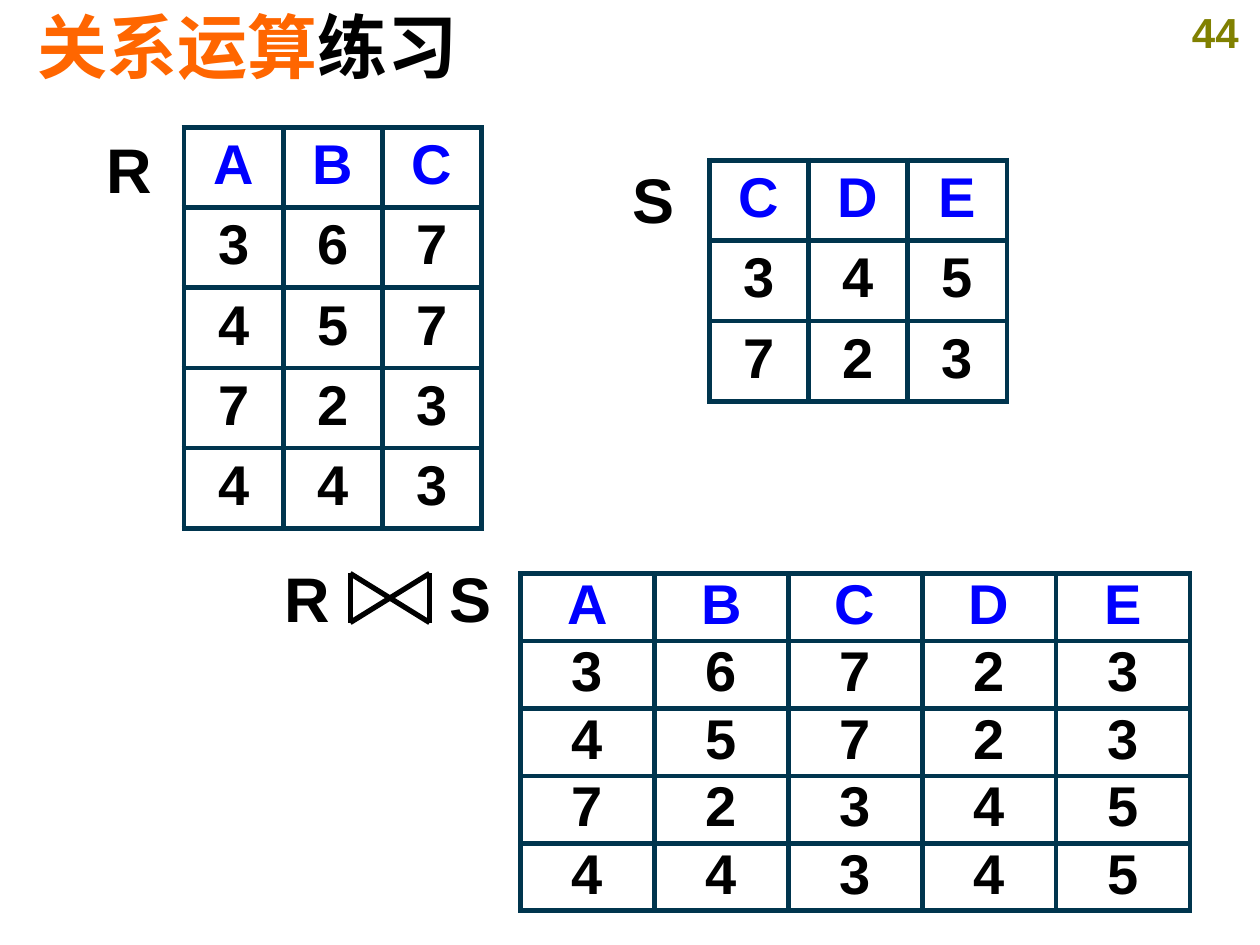
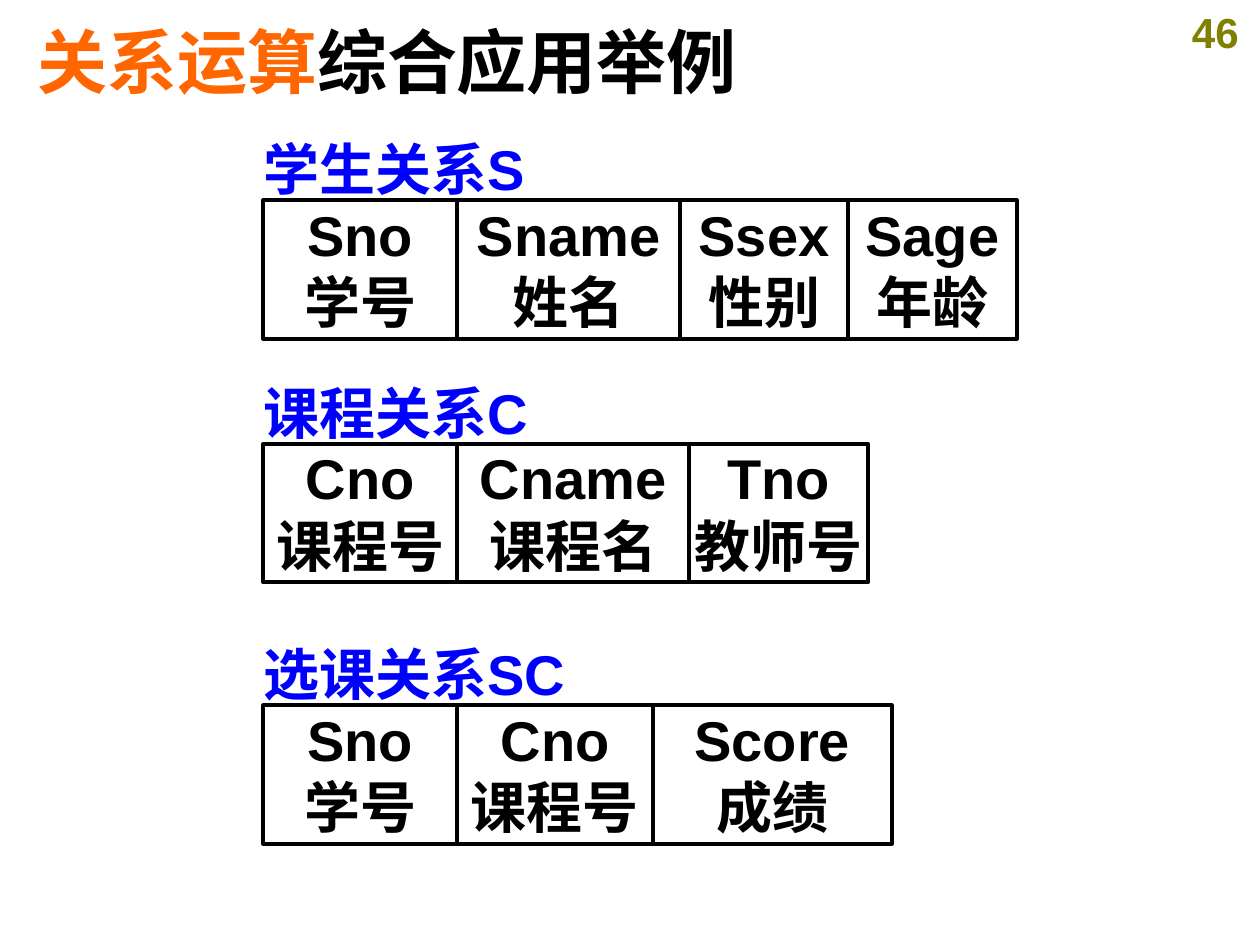
import pptx
import pptx.dml.color
import pptx.enum.shapes
import pptx.enum.text
import pptx.oxml
import pptx.oxml.ns
import pptx.util
from pptx.util import Cm, Pt

FONT = "Arial"
BLACK, BLUE, ORANGE = "000000", "0000FF", "FF6600"
OLIVE, GRID = "808000", "00354E"
NAMESPACE = pptx.oxml.ns.nsdecls("a")
ALIGN = pptx.enum.text.PP_ALIGN
ANCHOR = pptx.enum.text.MSO_ANCHOR


def color(value):
    return pptx.dml.color.RGBColor.from_string(value)


def style_font(font, size, value):
    font.name = FONT
    font.size = Pt(size)
    font.bold = True
    font.color.rgb = color(value)


def fill_text(frame, text, size, value, align=ALIGN.LEFT):
    frame.text = text
    for para in frame.paragraphs:
        para.alignment = align
        for span in para.runs:
            style_font(span.font, size, value)


def clear_margins(frame):
    frame.margin_left = frame.margin_right = 0
    frame.margin_top = frame.margin_bottom = 0


def add_label(page, text, left, top, width, height, size, value, align=ALIGN.LEFT):
    box = page.shapes.add_textbox(Cm(left), Cm(top), Cm(width), Cm(height))
    box.text_frame.word_wrap = True
    fill_text(box.text_frame, text, size, value, align)
    return box


def add_page(deck, number, subject, top, height):
    page = deck.slides.add_slide(deck.slide_layouts[5])
    title = page.shapes.title
    title.left, title.top = Cm(0.5), Cm(top)
    title.width, title.height = Cm(24.05), Cm(height)
    frame = title.text_frame
    frame.auto_size = pptx.enum.text.MSO_AUTO_SIZE.NONE
    frame.vertical_anchor = ANCHOR.MIDDLE
    para = frame.paragraphs[0]
    para.alignment = ALIGN.LEFT
    for text, value in (("关系运算", ORANGE), (subject, BLACK)):
        span = para.add_run()
        span.text = text
        style_font(span.font, 40, value)
    add_label(page, str(number), 23.6, 0, 1.8, 1.27, 24, OLIVE, ALIGN.CENTER)
    return page


def add_borders(cell):
    properties = cell._tc.get_or_add_tcPr()
    for side in ("lnL", "lnR", "lnT", "lnB"):
        properties.append(pptx.oxml.parse_xml(
            f'<a:{side} {NAMESPACE} w="{Pt(3)}"><a:solidFill>'
            f'<a:srgbClr val="{GRID}"/></a:solidFill></a:{side}>'))


def add_relation(page, rows, left, top, column_width, row_height, padding):
    count = len(rows[0])
    table = page.shapes.add_table(
        len(rows), count, Cm(left), Cm(top),
        Cm(column_width * count), Cm(row_height * len(rows))).table
    table.first_row = table.horz_banding = False
    for column in table.columns:
        column.width = Cm(column_width)
    for index, values in enumerate(rows):
        table.rows[index].height = Cm(row_height)
        for position, text in enumerate(values):
            cell = table.cell(index, position)
            cell.margin_top = cell.margin_bottom = Cm(padding)
            add_borders(cell)
            cell.fill.background()
            fill_text(cell.text_frame, text, 32, BLACK if index else BLUE, ALIGN.CENTER)


def add_line(page, start, end):
    line = page.shapes.add_connector(
        pptx.enum.shapes.MSO_CONNECTOR.STRAIGHT, *map(Cm, start + end))
    line.line.color.rgb = color(BLACK)
    line.line.width = Pt(3)
    line._element.spPr.append(pptx.oxml.parse_xml(f"<a:effectLst {NAMESPACE}/>"))


def add_join_label(page):
    box = add_label(page, "R\tS", 5.49, 11.15, 5, 1.78, 36, BLACK)
    properties = box.text_frame.paragraphs[0]._p.get_or_add_pPr()
    properties.append(pptx.oxml.parse_xml(
        f'<a:tabLst {NAMESPACE}><a:tab pos="{Cm(3.33)}" algn="l"/></a:tabLst>'))
    left, right, top, bottom = 7.06, 8.66, 11.56, 12.55
    add_line(page, (left, top), (left, bottom))
    add_line(page, (right, top), (right, bottom))
    add_line(page, (left, top), (right, bottom))
    add_line(page, (left, bottom), (right, top))


def add_schema(page, caption, top, fields):
    left = 5.31
    for name, meaning, width in fields:
        box = page.shapes.add_shape(
            pptx.enum.shapes.MSO_SHAPE.RECTANGLE, Cm(left), Cm(top), Cm(width), Cm(2.79))
        box.shadow.inherit = False
        box.fill.background()
        box.line.color.rgb = color(BLACK)
        box.line.width = Pt(2.25)
        clear_margins(box.text_frame)
        box.text_frame.vertical_anchor = ANCHOR.TOP
        fill_text(box.text_frame, f"{name}\n{meaning}", 32, BLACK, ALIGN.CENTER)
        left += width
    label = add_label(page, caption, 5.31, top - 1.32, 6.73, 1.35, 32, BLUE)
    clear_margins(label.text_frame)


def build_exercise(deck):
    page = add_page(deck, 44, "练习", 0.33, 1.17)
    add_label(page, "R", 1.9, 2.51, 1.42, 1.78, 36, BLACK)
    add_label(page, "S", 12.5, 3.12, 1.35, 1.78, 36, BLACK)
    add_relation(page, ["ABC", "367", "457", "723", "443"], 3.71, 2.57, 2, 1.61, 0.13)
    add_relation(page, ["CDE", "345", "723"], 14.3, 3.23, 2, 1.62, 0.13)
    add_join_label(page)
    add_relation(page, ["ABCDE", "36723", "45723", "72345", "44345"],
                 10.49, 11.56, 2.7, 1.36, 0)


def build_schemas(deck):
    page = add_page(deck, 46, "综合应用举例", 0.53, 1.4)
    add_schema(page, "学生关系S", 4.04, [
        ("Sno", "学号", 3.91), ("Sname", "姓名", 4.49),
        ("Ssex", "性别", 3.39), ("Sage", "年龄", 3.4)])
    add_schema(page, "课程关系C", 8.95, [
        ("Cno", "课程号", 3.91), ("Cname", "课程名", 4.67), ("Tno", "教师号", 3.61)])
    add_schema(page, "选课关系SC", 14.22, [
        ("Sno", "学号", 3.91), ("Cno", "课程号", 3.94), ("Score", "成绩", 4.82)])


def main():
    deck = pptx.Presentation()
    deck.slide_width, deck.slide_height = Cm(25.4), Cm(19.05)
    build_exercise(deck)
    build_schemas(deck)
    deck.save("out.pptx")


if __name__ == "__main__":
    main()
